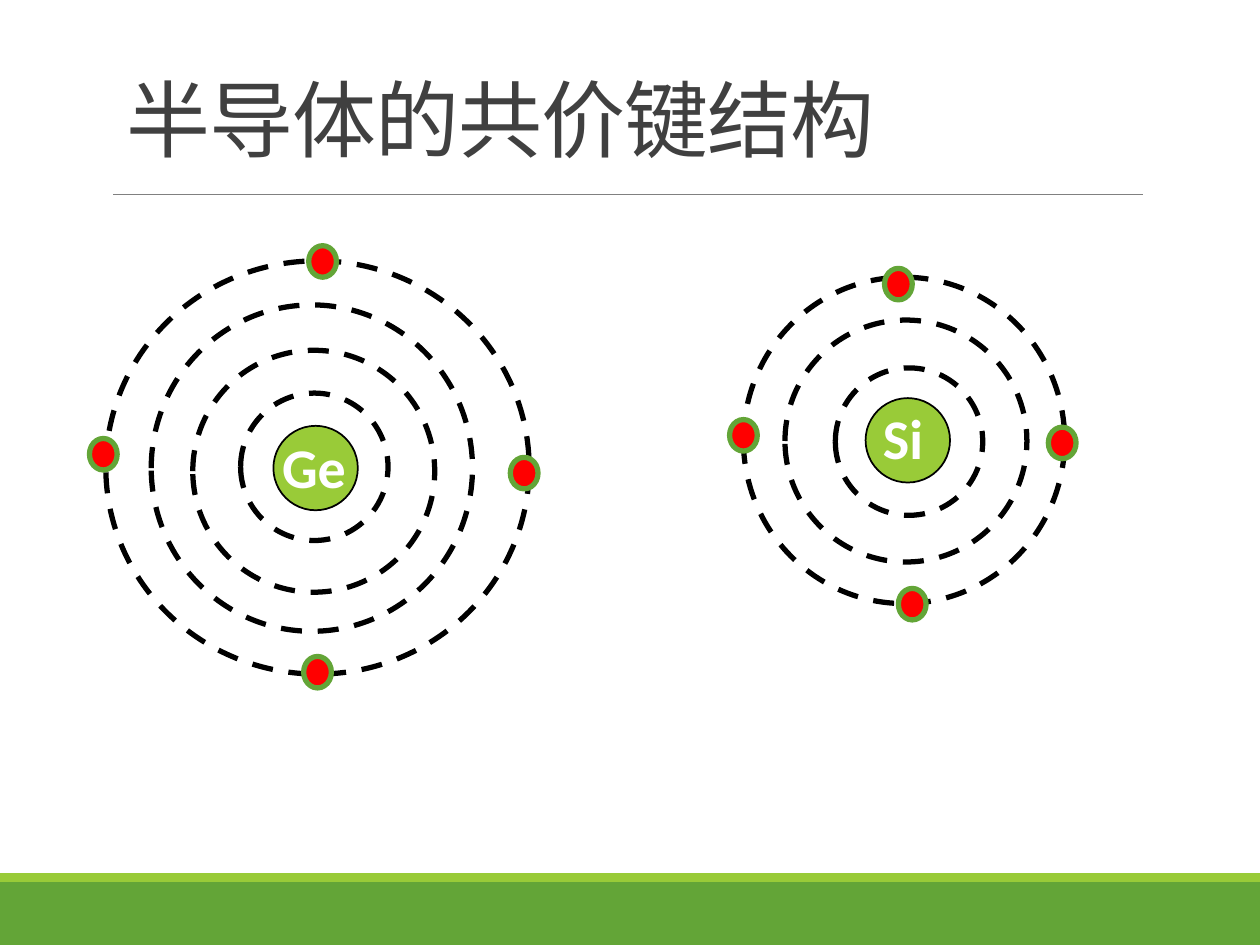
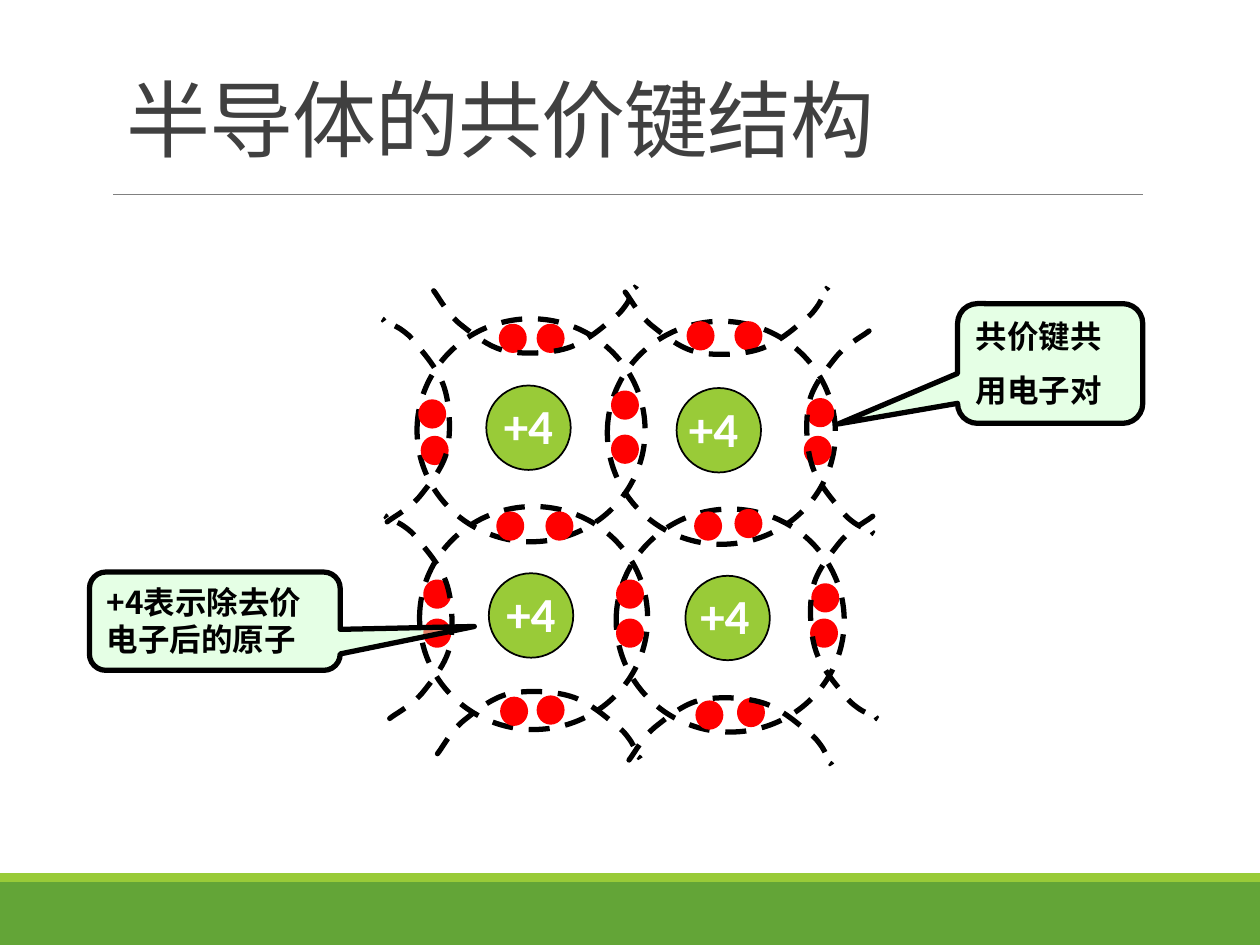
import itertools

import lxml.etree
import pptx
import pptx.dml.color
import pptx.enum.dml
import pptx.enum.shapes
import pptx.enum.text
import pptx.oxml.ns
import pptx.util

RGBColor = pptx.dml.color.RGBColor
GREEN = RGBColor(0x63, 0xA5, 0x37)
LIME = RGBColor(0x99, 0xCB, 0x38)
MINT = RGBColor(0xCC, 0xFF, 0xCC)
RED = RGBColor(0xFF, 0x00, 0x00)
GRAY = RGBColor(0x80, 0x80, 0x80)
CHARCOAL = RGBColor(0x40, 0x40, 0x40)
BLACK = RGBColor(0x00, 0x00, 0x00)
WHITE = RGBColor(0xFF, 0xFF, 0xFF)

LATIN_FONT = "Calibri"
CHINESE_FONT = "Noto Sans CJK SC"
TITLE = "半导体的共价键结构"
COLUMNS, ROWS = 100, 75
NUCLEUS = 6.7

SHAPES = pptx.enum.shapes.MSO_SHAPE
ANCHOR = pptx.enum.text.MSO_ANCHOR
qn = pptx.oxml.ns.qn

# Boxes are (column, row, width, height) on the grid.
SHELL_MODELS = [
    {
        "symbol": "Ge",
        "nucleus": (21.7, 33.8),
        "label": (21.4, 33.8, 8.5, 6.3),
        "shells": [(19.1, 31.2, 11.7, 11.7), (15.3, 27.8, 19.2, 19.2),
                   (12, 24.2, 25.5, 25.9), (8.4, 20.7, 33.6, 32.8)],
        "electrons": [(40.5, 36.3), (7.1, 34.8), (24.5, 19.5), (24.1, 52.1)],
    },
    {
        "symbol": "Si",
        "nucleus": (68.7, 31.6),
        "label": (69.1, 31.5, 7.7, 6.3),
        "shells": [(66.3, 29.2, 11.7, 11.7), (62.3, 25.4, 19.2, 19.2),
                   (59, 22, 25.5, 25.9)],
        "electrons": [(57.9, 33.3), (71.3, 46.7), (83.2, 33.9), (70.2, 21.3)],
    },
]

# Nucleus corner and the column where its label starts.
LATTICE_ATOMS = [(38.6, 30.6, 39), (53.7, 30.8, 53.7),
                 (38.8, 45.5, 39.2), (54.4, 45.7, 54.6)]
ELECTRON_PAIRS = [
    ((39.8, 25.9), (42.8, 25.9)), ((54.7, 25.7), (58.5, 25.7)),
    ((33.4, 31.9), (33.6, 34.8)), ((48.7, 31.2), (48.7, 34.7)),
    ((64.2, 31.8), (64, 34.8)), ((39.6, 40.8), (43.5, 40.8)),
    ((55.3, 40.8), (58.5, 40.6)), ((33.8, 46.2), (33.8, 49.3)),
    ((49.1, 46.2), (49.1, 49.3)), ((64.6, 46.5), (64.5, 49.3)),
    ((39.9, 55.5), (42.8, 55.4)), ((55.4, 55.8), (58.7, 55.6)),
]

# Outer bond about the centre of its box: two handles and an end per curve.
BOND_START = (2.1, -7.85)
BOND_CURVES = [
    ((2.1, -7.85), (2.5, -8.15), (2.1, -7.85)),
    ((1.7, -7.55), (0.4, -6.85), (-0.4, -5.85)),
    ((-1.1, -4.95), (-2.2, -3.65), (-2.5, -2.25)),
    ((-2.8, -0.85), (-2.7, 1.25), (-2.3, 2.55)),
    ((-1.9, 3.95), (-0.7, 5.35), (-0.1, 6.05)),
    ((0.5, 6.85), (0.7, 6.95), (1.1, 7.25)),
    ((1.5, 7.55), (2.2, 7.85), (2.5, 7.95)),
    ((2.7, 8.15), (2.7, 8.15), (2.7, 8.15)),
    ((2.7, 8.15), (2.5, 8.05), (2.5, 7.95)),
]
# How the outline is turned on each side: x = a*u + b*v, y = c*u + d*v.
TURNS = {"right": (1, 0, 0, 1), "left": (-1, 0, 0, -1),
         "top": (0, 1, -1, 0), "bottom": (0, 1, 1, 0)}
OUTER_BONDS = [
    ("right", 66.7, 34.25), ("right", 67, 48.95),
    ("top", 42.4, 25.35), ("top", 57.6, 25.45),
    ("bottom", 42.7, 57.55), ("bottom", 57.9, 58.05),
    ("left", 33, 33.45), ("left", 33.2, 49.05),
]


def write(frame, text, *, size, color, font=LATIN_FONT, bold=False,
          anchor=ANCHOR.TOP, line_spacing=None, space_before=0, tracking=None):
    """Fill a text frame, one paragraph for each line of text."""
    frame.word_wrap = True
    frame.vertical_anchor = anchor
    for index, line in enumerate(text.split("\n")):
        para = frame.add_paragraph() if index else frame.paragraphs[0]
        para.alignment = pptx.enum.text.PP_ALIGN.LEFT
        para.line_spacing = line_spacing
        para.space_before = pptx.util.Pt(space_before if index else 0)
        span = para.add_run()
        span.text = line
        span.font.size = pptx.util.Pt(size)
        span.font.bold = bold
        span.font.color.rgb = color
        span.font.name = font
        properties = span.font._element
        lxml.etree.SubElement(properties, qn("a:ea"), typeface=font)
        if tracking is not None:
            properties.set("spc", str(round(tracking * 100)))


def curve_segments(shape):
    """Turn every three line segments of a freeform into one Bezier curve."""
    lines = list(shape.element.iter(qn("a:lnTo")))
    for first, second, third in zip(lines[::3], lines[1::3], lines[2::3]):
        curve = lxml.etree.Element(qn("a:cubicBezTo"))
        first.addprevious(curve)
        for line in (first, second, third):
            curve.append(line[0])
            line.getparent().remove(line)


class Painter:
    def __init__(self, deck):
        self.deck = deck
        self.column = deck.slide_width / COLUMNS
        self.row = deck.slide_height / ROWS
        self.layout = deck.slide_layouts.get_by_name("Title Only")
        self.page = None

    def place(self, column, row, width, height):
        return (round(column * self.column), round(row * self.row),
                round(width * self.column), round(height * self.row))

    def start_page(self, title):
        first = self.page is None
        self.page = self.deck.slides.add_slide(self.layout)
        if first:
            self.decorate_layout()
        box = self.page.shapes.title
        box.left, box.top, box.width, box.height = self.place(9, 3.1, 82.5, 10.8)
        write(box.text_frame, title, size=48, color=CHARCOAL, font=CHINESE_FONT,
              anchor=ANCHOR.BOTTOM, line_spacing=0.85, tracking=-0.5)
        box.text_frame.auto_size = pptx.enum.text.MSO_AUTO_SIZE.NONE

    def decorate_layout(self):
        """Draw the bands and title rule, then hand them to the layout."""
        for part in (
            self.shape((0, 70, COLUMNS, 5), SHAPES.RECTANGLE, fill=GREEN),
            self.shape((0, 69.3, COLUMNS, 0.7), SHAPES.RECTANGLE, fill=LIME),
            self.rule(9, 90.7, 15.45),
        ):
            self.layout.shapes.element.append(part.element)

    def style(self, shape, fill=None, line=None, weight=3, dashed=False):
        shape.shadow.inherit = False
        if fill is None:
            shape.fill.background()
        else:
            shape.fill.solid()
            shape.fill.fore_color.rgb = fill
        if line is None:
            shape.line.fill.background()
        else:
            shape.line.color.rgb = line
            shape.line.width = pptx.util.Pt(weight)
        if dashed:
            shape.line.dash_style = pptx.enum.dml.MSO_LINE.DASH
        return shape

    def shape(self, box, kind=SHAPES.OVAL, **look):
        return self.style(
            self.page.shapes.add_shape(kind, *self.place(*box)), **look)

    def rule(self, start, end, row):
        left, top, right, bottom = self.place(start, row, end, row)
        line = self.page.shapes.add_connector(
            pptx.enum.shapes.MSO_CONNECTOR.STRAIGHT, left, top, right, bottom)
        line.line.color.rgb = GRAY
        line.line.width = pptx.util.Pt(0.5)
        lxml.etree.SubElement(line.element.spPr, qn("a:effectLst"))
        return line

    def nucleus(self, column, row):
        self.shape((column, row, NUCLEUS, NUCLEUS), fill=LIME, line=BLACK, weight=1)

    def shell(self, box):
        self.shape(box, line=BLACK, dashed=True)

    def electron(self, corner, size, edge):
        self.shape((*corner, *size), fill=RED, line=edge)

    def label(self, box, text, size):
        frame = self.page.shapes.add_textbox(*self.place(*box)).text_frame
        write(frame, text, size=size, color=WHITE, bold=True)
        frame.auto_size = pptx.enum.text.MSO_AUTO_SIZE.SHAPE_TO_FIT_TEXT

    def bond(self, side, column, row):
        a, b, c, d = TURNS[side]
        outline = itertools.chain([BOND_START], *BOND_CURVES)
        points = [(round((column + a * u + b * v) * self.column),
                   round((row + c * u + d * v) * self.row))
                  for u, v in outline]
        builder = self.page.shapes.build_freeform(*points[0])
        builder.add_line_segments(points[1:], close=False)
        bond = self.style(builder.convert_to_shape(), line=BLACK, dashed=True)
        curve_segments(bond)

    def callout(self, box, text, tip):
        callout = self.shape(box, SHAPES.ROUNDED_RECTANGULAR_CALLOUT,
                             fill=MINT, line=BLACK)
        for index, value in enumerate((*tip, 0.167)):
            callout.adjustments[index] = value
        color = callout.element.spPr.find(qn("a:solidFill")).find(qn("a:srgbClr"))
        lxml.etree.SubElement(color, qn("a:alpha"), val="50000")
        write(callout.text_frame, text, size=18, color=BLACK, font=CHINESE_FONT,
              bold=True, anchor=ANCHOR.MIDDLE,
              line_spacing=pptx.util.Pt(21), space_before=10)


def draw_shell_models(painter):
    painter.start_page(TITLE)
    for atom in SHELL_MODELS:
        painter.nucleus(*atom["nucleus"])
        for shell in atom["shells"]:
            painter.shell(shell)
        painter.label(atom["label"], atom["symbol"], size=32)
        for corner in atom["electrons"]:
            painter.electron(corner, (2.2, 2.5), GREEN)


def draw_lattice(painter):
    painter.start_page(TITLE)
    for column, row, _ in LATTICE_ATOMS:
        painter.nucleus(column, row)
        painter.shell((column - 5.5, row - 5.3, 18.1, 17.7))
    for pair in ELECTRON_PAIRS:
        for corner in pair:
            painter.electron(corner, (1.8, 1.9), RED)
    for side, column, row in OUTER_BONDS:
        painter.bond(side, column, row)
    for _, row, label_column in LATTICE_ATOMS:
        painter.label((label_column, row + 0.3, 7.7, 5.7), "+4", size=28)
    painter.callout((7.1, 45.4, 19.9, 7.8), "+4表示除去价电子后的原子", (1.035, 0.054))
    painter.callout((76, 24.1, 14.7, 9.5), "共价键共\n用电子对", (-1.144, 0.505))


def main():
    deck = pptx.Presentation()
    deck.slide_width = pptx.util.Inches(10)
    deck.slide_height = pptx.util.Inches(7.5)
    painter = Painter(deck)
    draw_shell_models(painter)
    draw_lattice(painter)
    deck.save("out.pptx")


if __name__ == "__main__":
    main()
